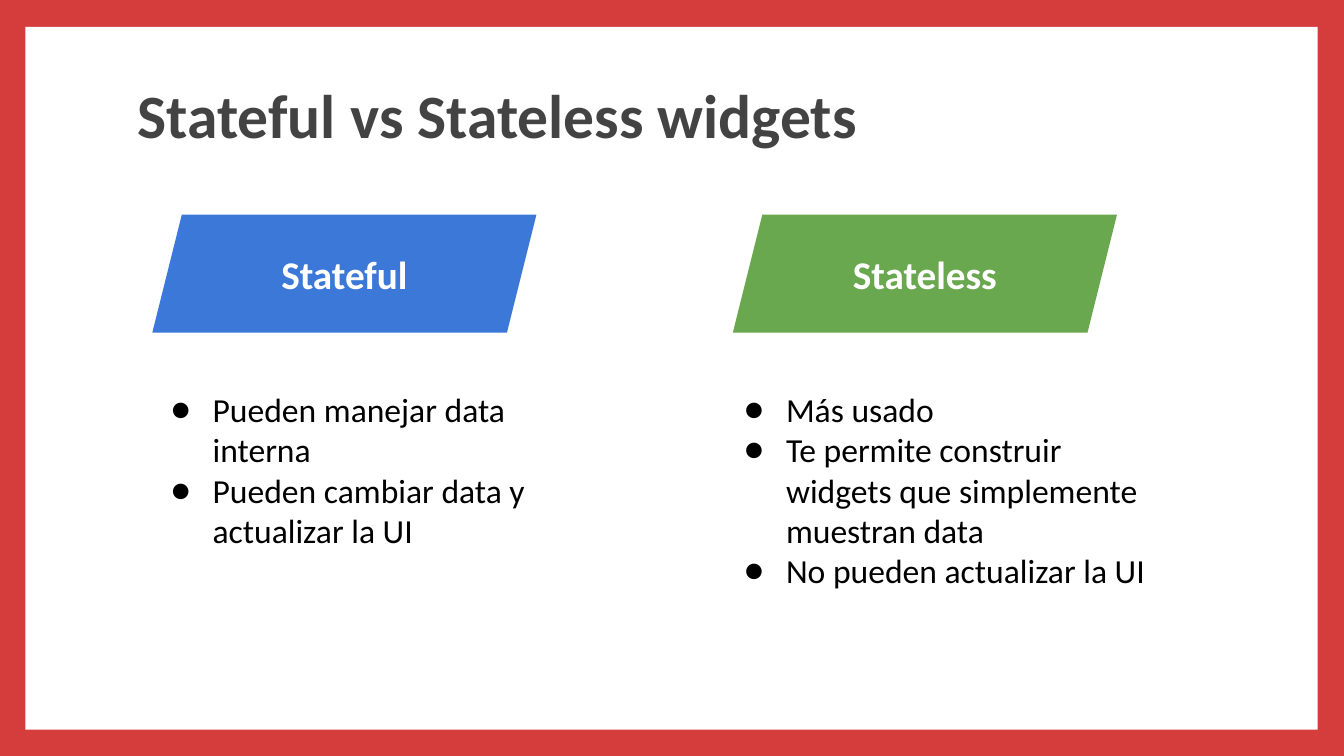
from lxml import etree
from pptx import Presentation
from pptx.dml.color import RGBColor
from pptx.enum.shapes import MSO_SHAPE as Shape
from pptx.enum.text import MSO_ANCHOR as Anchor, PP_ALIGN as Align
from pptx.oxml.ns import qn
from pptx.util import Cm, Pt

FONT = "Calibri"
RED, WHITE, GRAY, BLACK = "D53D3D", "FFFFFF", "434343", "000000"
COLUMNS = [
    (3.84, 3.84, "Stateful", "3C78D8", [
        "Pueden manejar data interna",
        "Pueden cambiar data y actualizar la UI",
    ]),
    (18.47, 18.29, "Stateless", "6AA84F", [
        "Más usado",
        "Te permite construir widgets que simplemente muestran data",
        "No pueden actualizar la UI",
    ]),
]


def color(value):
    return RGBColor.from_string(value)


def format_runs(paragraph, size, font_color, bold=False):
    for run in paragraph.runs:
        run.font.name = FONT
        run.font.size = Pt(size)
        run.font.bold = bold
        run.font.color.rgb = color(font_color)


def set_margins(text_frame, vertical):
    text_frame.word_wrap = True
    text_frame.margin_left = text_frame.margin_right = Cm(0.25)
    text_frame.margin_top = text_frame.margin_bottom = Cm(vertical)


def add_filled_shape(slide, kind, box, fill):
    shape = slide.shapes.add_shape(kind, *map(Cm, box))
    shape.shadow.inherit = False
    shape.fill.solid()
    shape.fill.fore_color.rgb = color(fill)
    shape.line.fill.background()
    return shape


def add_frame(slide, box):
    slide.background.fill.solid()
    slide.background.fill.fore_color.rgb = color(RED)
    add_filled_shape(slide, Shape.RECTANGLE, box, WHITE)


def add_title(slide, box, text):
    text_frame = slide.shapes.add_textbox(*map(Cm, box)).text_frame
    set_margins(text_frame, 0.13)
    text_frame.vertical_anchor = Anchor.MIDDLE
    text_frame.text = text
    paragraph = text_frame.paragraphs[0]
    paragraph.line_spacing = 0.9
    format_runs(paragraph, 44, GRAY, bold=True)


def add_heading(slide, box, text, fill):
    shape = add_filled_shape(slide, Shape.PARALLELOGRAM, box, fill)
    shape.adjustments[0] = 0.25
    text_frame = shape.text_frame
    set_margins(text_frame, 0.25)
    text_frame.vertical_anchor = Anchor.MIDDLE
    text_frame.text = text
    paragraph = text_frame.paragraphs[0]
    paragraph.alignment = Align.CENTER
    format_runs(paragraph, 28, WHITE, bold=True)


def add_bullet(paragraph):
    properties = paragraph._p.get_or_add_pPr()
    properties.set("marL", str(Cm(1.27)))
    properties.set("indent", str(-Cm(1.06)))
    bullet_color = etree.SubElement(properties, qn("a:buClr"))
    etree.SubElement(bullet_color, qn("a:srgbClr"), val=BLACK)
    etree.SubElement(properties, qn("a:buSzPts"), val="2400")
    etree.SubElement(properties, qn("a:buFont"), typeface=FONT)
    etree.SubElement(properties, qn("a:buChar"), char="●")


def add_list(slide, box, items):
    text_frame = slide.shapes.add_textbox(*map(Cm, box)).text_frame
    set_margins(text_frame, 0.25)
    text_frame.text = "\n".join(items)
    for paragraph in text_frame.paragraphs:
        add_bullet(paragraph)
        format_runs(paragraph, 24, BLACK)


def main():
    presentation = Presentation()
    presentation.slide_width = Cm(33.87)
    presentation.slide_height = Cm(19.05)
    slide = presentation.slides.add_slide(presentation.slide_layouts[6])
    add_frame(slide, (0.64, 0.68, 32.57, 17.71))
    add_title(slide, (3.22, 1.12, 27.43, 3.76), "Stateful vs Stateless widgets")
    for heading_left, list_left, heading, fill, items in COLUMNS:
        add_heading(slide, (heading_left, 5.41, 9.68, 2.97), heading, fill)
        add_list(slide, (list_left, 9.55, 11.02, 6.68), items)
    presentation.save("out.pptx")


if __name__ == "__main__":
    main()
